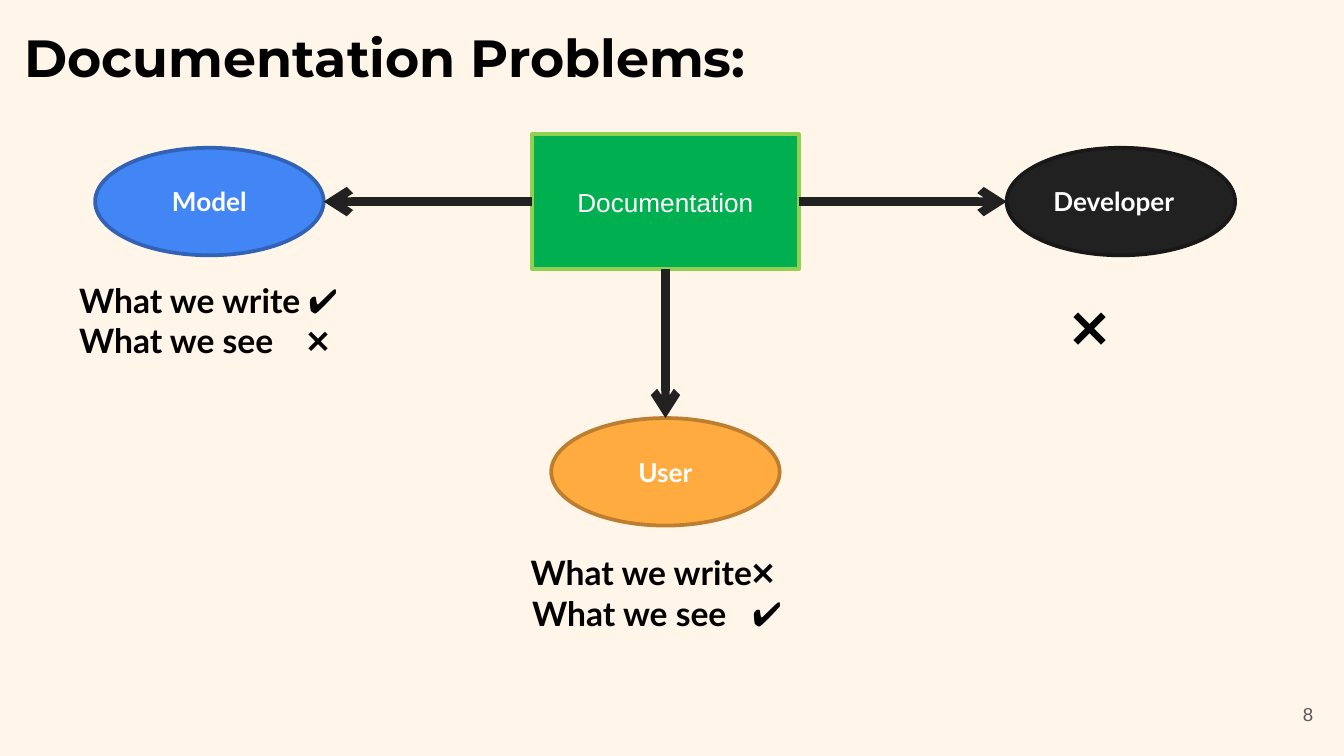
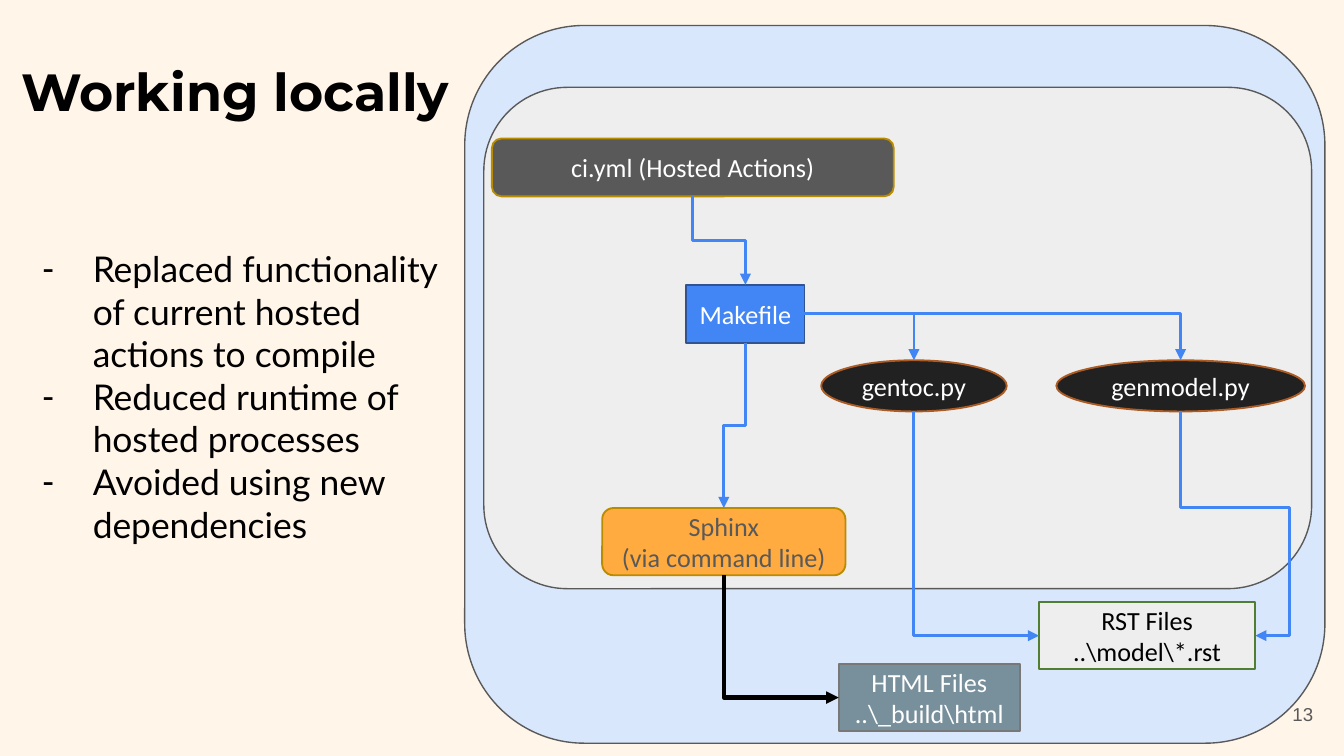
import pptx
import pptx.util
import pptx.dml.color
import pptx.enum.shapes
import pptx.enum.text
import pptx.oxml.ns
from lxml import etree

Pt = pptx.util.Pt
RGBColor = pptx.dml.color.RGBColor
SHAPE = pptx.enum.shapes.MSO_SHAPE
LINK = pptx.enum.shapes.MSO_CONNECTOR
ANCHOR = pptx.enum.text.MSO_ANCHOR
ALIGN = pptx.enum.text.PP_ALIGN
AUTO_SIZE = pptx.enum.text.MSO_AUTO_SIZE
qn = pptx.oxml.ns.qn

CREAM = RGBColor(0xFF, 0xF5, 0xE9)
BLACK = RGBColor(0x00, 0x00, 0x00)
WHITE = RGBColor(0xFF, 0xFF, 0xFF)
INK = RGBColor(0x21, 0x21, 0x21)
INK_EDGE = RGBColor(0x18, 0x18, 0x18)
GREY = RGBColor(0x59, 0x59, 0x59)
PALE_GREY = RGBColor(0xEE, 0xEE, 0xEE)
PALE_BLUE = RGBColor(0xD9, 0xE7, 0xFD)
BLUE = RGBColor(0x42, 0x85, 0xF4)
BLUE_EDGE = RGBColor(0x31, 0x62, 0xB5)
NAVY = RGBColor(0x31, 0x53, 0x8F)
ORANGE = RGBColor(0xFF, 0xAB, 0x40)
ORANGE_EDGE = RGBColor(0xBD, 0x7F, 0x2F)
GOLD = RGBColor(0xBA, 0x8C, 0x00)
RUST = RGBColor(0xAC, 0x5B, 0x23)
GREEN = RGBColor(0x00, 0xB0, 0x50)
LIME = RGBColor(0x92, 0xD0, 0x50)
FOREST = RGBColor(0x51, 0x7E, 0x33)
SLATE = RGBColor(0x78, 0x90, 0x9C)
SLATE_EDGE = RGBColor(0x78, 0x78, 0x78)

TITLE = dict(name="Montserrat", size=Pt(28), bold=True)
LIST = dict(name="Lato", size=Pt(19), bold=False)
NOTE = dict(name="Lato", size=Pt(18), bold=True)
BIG_MARK = dict(name="Lato", size=Pt(30), bold=True)
ROLE = dict(name="Lato", size=Pt(14), bold=True)
HUB = dict(name="Arial", size=Pt(14))
STEP = dict(name="Calibri", size=Pt(14))
NUMBER = dict(name="Arial", size=Pt(10))

WIDE = (7.2, 7.2)
STANDARD = (7.2, 3.6)
TIGHT = (5, 2.9)


def place(sp, left, top, width, height):
    for name, value in zip(("left", "top", "width", "height"), (left, top, width, height)):
        setattr(sp, name, Pt(value))


def write(sp, lines, font, color=BLACK, align=ALIGN.LEFT, anchor=ANCHOR.TOP, inset=STANDARD):
    """Fill a shape with one paragraph per line, all in one format."""
    tf = sp.text_frame
    frame = dict(word_wrap=True, auto_size=AUTO_SIZE.NONE, vertical_anchor=anchor,
                 margin_left=Pt(inset[0]), margin_right=Pt(inset[0]),
                 margin_top=Pt(inset[1]), margin_bottom=Pt(inset[1]))
    for name, value in frame.items():
        setattr(tf, name, value)
    for i, line in enumerate(lines):
        p = tf.add_paragraph() if i else tf.paragraphs[0]
        p.alignment = align
        p.space_before = Pt(0)
        r = p.add_run()
        r.text = line
        for name, value in font.items():
            setattr(r.font, name, value)
        r.font.color.rgb = color
    return tf


def add_text(s, box, lines, font, **look):
    return write(s.shapes.add_textbox(*map(Pt, box)), lines, font, **look)


def add_node(s, kind, box, fill, edge, weight):
    sp = s.shapes.add_shape(kind, *map(Pt, box))
    sp.shadow.inherit = False
    sp.fill.solid()
    sp.fill.fore_color.rgb = fill
    sp.line.color.rgb = edge
    sp.line.width = Pt(weight)
    return sp


def style_link(cx, color, weight, head):
    cx.line.color.rgb = color
    cx.line.width = Pt(weight)
    etree.SubElement(cx.line._get_or_add_ln(), qn("a:tailEnd"), type=head)
    etree.SubElement(cx._element.spPr, qn("a:effectLst"))


def side(sp, name):
    """Midpoint of one side of a shape."""
    x, y = sp.left + sp.width // 2, sp.top + sp.height // 2
    return {"top": (x, sp.top), "left": (sp.left, y),
            "bottom": (x, sp.top + sp.height), "right": (sp.left + sp.width, y)}[name]


def add_elbow(s, start, end, bends, color=BLUE, weight=1.5, adjust=()):
    """Bent arrow leaving a bottom side downwards or a right side rightwards."""
    (x1, y1), (x2, y2) = side(*start), side(*end)
    down = start[1] == "bottom"
    if down:
        mid_x, mid_y = (x1 + x2) // 2, (y1 + y2) // 2
        half_w, half_h = abs(y2 - y1) // 2, abs(x2 - x1) // 2
        ends = (mid_x - half_w, mid_y - half_h, mid_x + half_w, mid_y + half_h)
    else:
        ends = (x1, y1, x2, y2)
    cx = s.shapes.add_connector(LINK.ELBOW, *ends)
    spPr = cx._element.spPr
    if down:
        spPr.xfrm.set("rot", str((270 if x2 > x1 else 90) * 60000))
        if x2 > x1:
            spPr.xfrm.set("flipH", "1")
    geom = spPr.find(qn("a:prstGeom"))
    geom.set("prst", f"bentConnector{bends + 1}")
    for i, value in enumerate(adjust, 1):
        etree.SubElement(geom.find(qn("a:avLst")), qn("a:gd"),
                         name=f"adj{i}", fmla=f"val {round(value * 100000)}")
    style_link(cx, color, weight, "triangle")


def add_tab(p, position):
    tabs = etree.SubElement(p._p.get_or_add_pPr(), qn("a:tabLst"))
    etree.SubElement(tabs, qn("a:tab"), pos=str(Pt(position)), algn="l")


def add_base(prs, layout, title, title_box, number):
    """New slide with its title and slide number."""
    s = prs.slides.add_slide(prs.slide_layouts[layout])
    place(s.shapes.title, *title_box)
    write(s.shapes.title, [title], TITLE, inset=WIDE)
    add_text(s, (667.4, 367.2, 43.2, 31), [number], NUMBER, color=GREY,
             align=ALIGN.RIGHT, anchor=ANCHOR.MIDDLE, inset=WIDE)
    return s


def add_readers(s, left, top):
    """Documentation hub, its three readers and the verdict under each."""
    def at(x, y, w, h):
        return left + x, top + y, w, h

    hub = add_node(s, SHAPE.RECTANGLE, at(249, 0, 143, 72), GREEN, LIME, 2)
    write(hub, ["Documentation"], HUB, WHITE, ALIGN.CENTER, ANCHOR.MIDDLE)
    readers = [
        ("Model", 15, 7.2, BLUE, BLUE_EDGE, ALIGN.CENTER, 1, "right"),
        ("User", 259.3, 152, ORANGE, ORANGE_EDGE, ALIGN.CENTER, 2, "top"),
        ("Developer", 503.3, 7.2, INK, INK_EDGE, ALIGN.LEFT, 3, "left"),
    ]
    for name, x, y, fill, edge, align, site, target in readers:
        sp = add_node(s, SHAPE.OVAL, at(x, y, 122.4, 57.6), fill, edge, 2)
        write(sp, [name], ROLE, WHITE, align, ANCHOR.MIDDLE)
        end = side(sp, target)
        cx = s.shapes.add_connector(LINK.STRAIGHT, *end, *end)
        cx.begin_connect(hub, site)
        style_link(cx, INK, 4.5, "arrow")

    tf = add_text(s, at(-0.7, 74.2, 183.6, 51), ["What we write ✔️", "What we see\t❌"], NOTE)
    add_tab(tf.paragraphs[1], 122)
    add_text(s, at(241.2, 220.3, 183.6, 29), ["What we write❌"], NOTE)
    tf = add_text(s, at(242, 242, 159, 29), ["What we see\t✔️"], NOTE)
    add_tab(tf.paragraphs[0], 118)
    add_text(s, at(530.6, 81.4, 151, 44), ["❌"], BIG_MARK)


def add_list(s, box, items):
    body = s.placeholders[1]
    place(body, *box)
    for p in write(body, items, LIST, inset=WIDE).paragraphs:
        pPr = p._p.get_or_add_pPr()
        pPr.set("marL", str(Pt(36)))
        pPr.set("indent", str(Pt(-27)))
        color = etree.SubElement(pPr, qn("a:buClr"))
        etree.SubElement(color, qn("a:srgbClr"), val=str(BLACK))
        etree.SubElement(pPr, qn("a:buChar"), char="-")


def add_pipeline(s, left, top, width, height):
    """Build steps and output files on two nested panels."""
    panels = [((0, 0, width, height), PALE_BLUE), ((10.2, 33.1, 443.5, 268.6), PALE_GREY)]
    for (x, y, w, h), fill in panels:
        add_node(s, SHAPE.FLOWCHART_ALTERNATE_PROCESS, (left + x, top + y, w, h), fill, GREY, 0.75)

    rect, oval, rounded = SHAPE.RECTANGLE, SHAPE.OVAL, SHAPE.ROUNDED_RECTANGLE
    steps = {
        "make": (rect, (118.6, 138.9, 63.4, 31), BLUE, NAVY, WHITE, ["Makefile"]),
        "genmodel": (oval, (316.9, 179.3, 133.2, 27.4), INK, RUST, WHITE, ["genmodel.py"]),
        "ci": (rounded, (14.5, 60.5, 215.3, 31), GREY, GOLD, WHITE, ["ci.yml (Hosted Actions)"]),
        "gentoc": (oval, (190.9, 179.3, 99.4, 27.4), INK, RUST, WHITE, ["gentoc.py"]),
        "rst": (rect, (307.6, 308.9, 115.9, 36), PALE_GREY, FOREST, BLACK,
                ["RST Files", "..\\model\\*.rst"]),
        "html": (rect, (200.3, 342, 97.2, 36), SLATE, SLATE_EDGE, WHITE,
                 ["HTML Files", "..\\_build\\html"]),
        "sphinx": (rounded, (73.6, 258.5, 130.3, 36), ORANGE, GOLD, GREY,
                   ["Sphinx", "(via command line)"]),
    }
    nodes = {}
    for key, (kind, (x, y, w, h), fill, edge, color, lines) in steps.items():
        nodes[key] = add_node(s, kind, (left + x, top + y, w, h), fill, edge, 1)
        write(nodes[key], lines, STEP, color, ALIGN.CENTER, ANCHOR.MIDDLE, TIGHT)

    links = [
        ("make", "right", "genmodel", "top", 1, {}),
        ("ci", "bottom", "make", "top", 2, {}),
        ("make", "right", "gentoc", "top", 1, {}),
        ("gentoc", "bottom", "rst", "left", 1, {}),
        ("genmodel", "bottom", "rst", "right", 3, dict(adjust=(0.43, 1.46))),
        ("make", "bottom", "sphinx", "top", 2, {}),
        ("sphinx", "bottom", "html", "left", 1, dict(color=BLACK, weight=2.25)),
    ]
    for source, out, target, into, bends, look in links:
        add_elbow(s, (nodes[source], out), (nodes[target], into), bends, **look)


def main():
    prs = pptx.Presentation()
    prs.slide_width, prs.slide_height = Pt(720), Pt(405)
    fill = prs.slide_master.background.fill
    fill.solid()
    fill.fore_color.rgb = CREAM

    s = add_base(prs, 5, "Documentation Problems:", (5.8, 6.5, 543.6, 42.5), "8")
    add_readers(s, 36, 72)

    s = add_base(prs, 1, "Working locally", (4.3, 24.5, 259.2, 45.4), "13")
    add_list(s, (6.5, 125.3, 236.2, 197.3), [
        "Replaced functionality of current hosted actions to compile",
        "Reduced runtime of hosted processes",
        "Avoided using new dependencies",
    ])
    number = s.shapes[2]._element
    add_pipeline(s, 249, 13.7, 460.8, 384.5)
    s.shapes._spTree.append(number)  # keeps the slide number above the panels

    prs.save("out.pptx")


if __name__ == "__main__":
    main()
